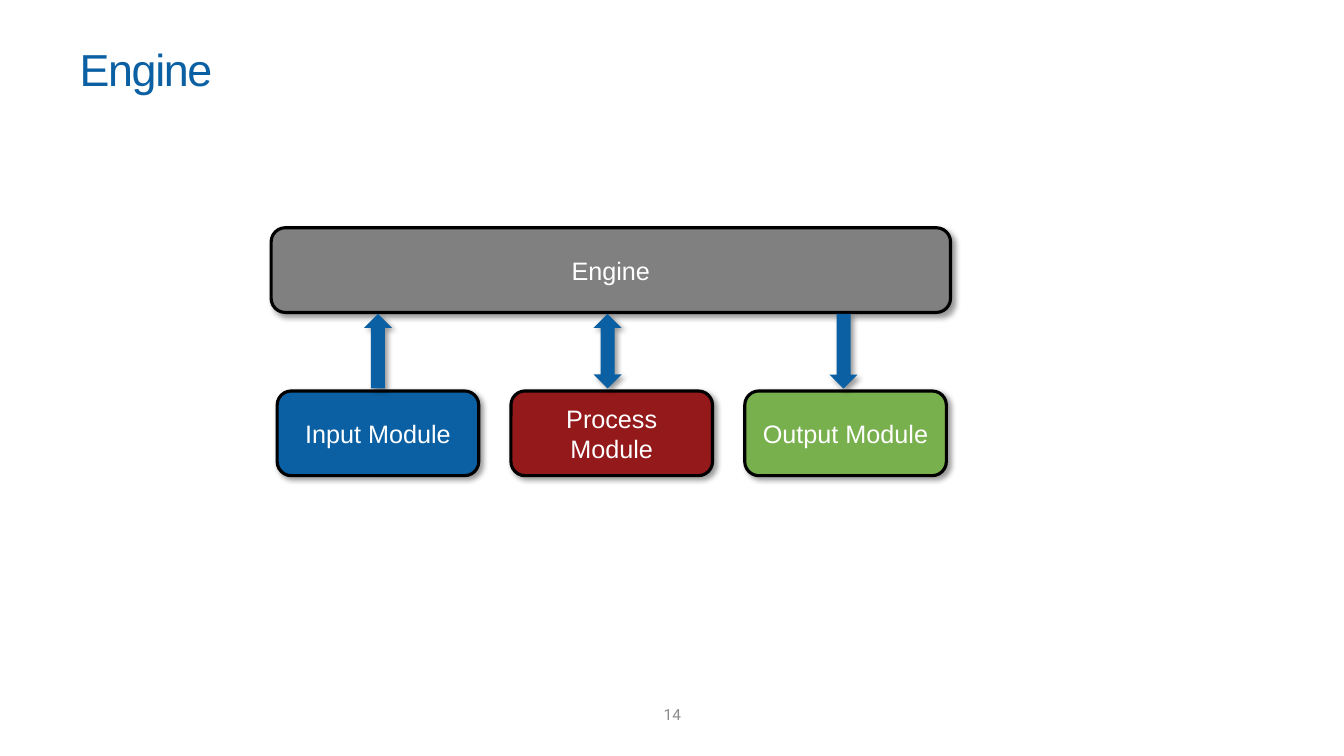
from lxml.etree import SubElement
from pptx import Presentation
from pptx.dml.color import RGBColor
from pptx.enum.shapes import MSO_SHAPE as Preset
from pptx.enum.text import MSO_ANCHOR as Anchor, PP_ALIGN as Align
from pptx.oxml.ns import qn
from pptx.util import Pt

BLUE = RGBColor(0x0A, 0x60, 0xA3)
RED = RGBColor(0x93, 0x19, 0x1A)
GREEN = RGBColor(0x79, 0xB0, 0x4E)
GRAY = RGBColor(0x80, 0x80, 0x80)
LIGHT_GRAY = RGBColor(0x8C, 0x8C, 0x8C)
BLACK = RGBColor(0, 0, 0)
WHITE = RGBColor(0xFF, 0xFF, 0xFF)

BOX_HEIGHT = 60.5
MODULE_WIDTH = 144
ARROW_WIDTH = 20
ARROW_HEIGHT = 53.3
MODULES = [
    ("Input Module", BLUE, Preset.UP_ARROW, 0, 0),
    ("Process Module", RED, Preset.UP_DOWN_ARROW, 0, -3),
    ("Output Module", GREEN, Preset.UP_ARROW, 180, -1.5),
]


def write_text(shape, text, size, color, font="Arial", align=Align.CENTER, spacing=None):
    frame = shape.text_frame
    frame.word_wrap = True
    frame.vertical_anchor = Anchor.MIDDLE
    paragraph = frame.paragraphs[0]
    paragraph.alignment = align
    run = paragraph.add_run()
    run.text = text
    run.font.name = font
    run.font.size = Pt(size)
    run.font.color.rgb = color
    if spacing is not None:
        run._r.get_or_add_rPr().set("spc", str(spacing * 100))


def add_shadow(shape):
    shape.shadow.inherit = False
    effects = shape._element.spPr.find(qn("a:effectLst"))
    shadow = SubElement(
        effects, qn("a:outerShdw"), blurRad=str(Pt(4)), dist=str(Pt(3)),
        dir="2700000", algn="tl", rotWithShape="0",
    )
    color = SubElement(shadow, qn("a:srgbClr"), val=str(BLACK))
    SubElement(color, qn("a:alpha"), val="40000")


def add_filled_shape(slide, preset, left, top, width, height, fill):
    shape = slide.shapes.add_shape(preset, Pt(left), Pt(top), Pt(width), Pt(height))
    shape.fill.solid()
    shape.fill.fore_color.rgb = fill
    shape.line.fill.background()
    add_shadow(shape)
    return shape


def add_box(slide, text, left, top, width, fill):
    box = add_filled_shape(slide, Preset.ROUNDED_RECTANGLE, left, top, width, BOX_HEIGHT, fill)
    box.line.color.rgb = BLACK
    box.line.width = Pt(2.25)
    write_text(box, text, 18, WHITE)


def add_title(slide, left, top, width, height):
    title = slide.shapes.title
    title.left, title.top, title.width, title.height = map(Pt, (left, top, width, height))
    write_text(title, "Engine", 32, BLUE, align=Align.LEFT, spacing=-1)


def add_engine_diagram(slide, left, top, width, height):
    module_top = top + height - BOX_HEIGHT
    first_left = left + 4.3
    pitch = (width - 7.3 - MODULE_WIDTH) / (len(MODULES) - 1)
    arrow_top = top + BOX_HEIGHT + 1

    for index, (text, fill, preset, rotation, shift) in enumerate(MODULES):
        add_box(slide, text, first_left + index * pitch, module_top, MODULE_WIDTH, fill)
    add_box(slide, "Engine", left, top, width, GRAY)
    for index, (text, fill, preset, rotation, shift) in enumerate(MODULES):
        center = first_left + index * pitch + MODULE_WIDTH / 2 + shift
        arrow = add_filled_shape(
            slide, preset, center - ARROW_WIDTH / 2, arrow_top, ARROW_WIDTH, ARROW_HEIGHT, BLUE
        )
        arrow.rotation = rotation


def add_slide_number(slide, left, top, width, height):
    number = slide.shapes.add_textbox(Pt(left), Pt(top), Pt(width), Pt(height))
    write_text(number, "14", 11, LIGHT_GRAY, font="Roboto")


def main():
    presentation = Presentation()
    presentation.slide_width = Pt(960)
    presentation.slide_height = Pt(540)
    slide = presentation.slides.add_slide(presentation.slide_layouts[5])
    add_slide_number(slide, 461.5, 499.7, 37.4, 21.6)
    add_title(slide, 49.7, 11.5, 857.5, 75.6)
    add_engine_diagram(slide, 193.7, 162.7, 485.3, 177.1)
    presentation.save("out.pptx")


if __name__ == "__main__":
    main()
